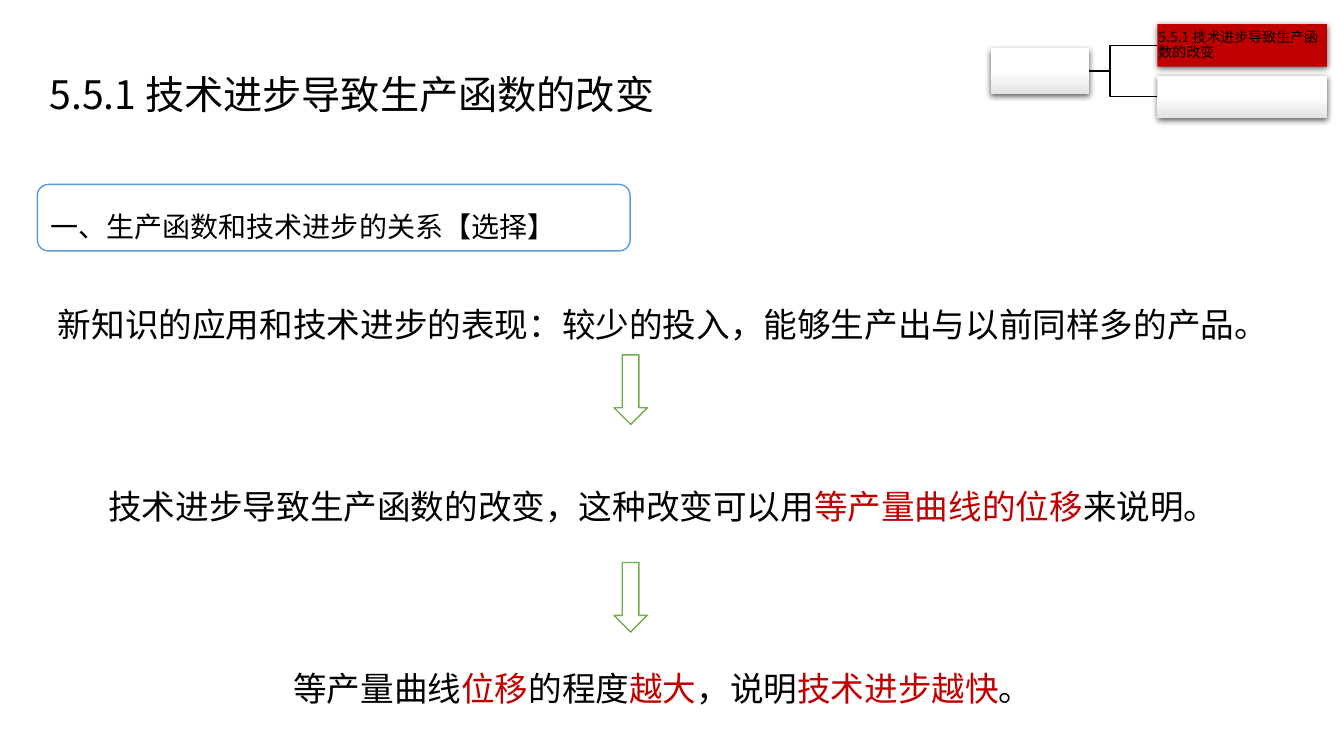
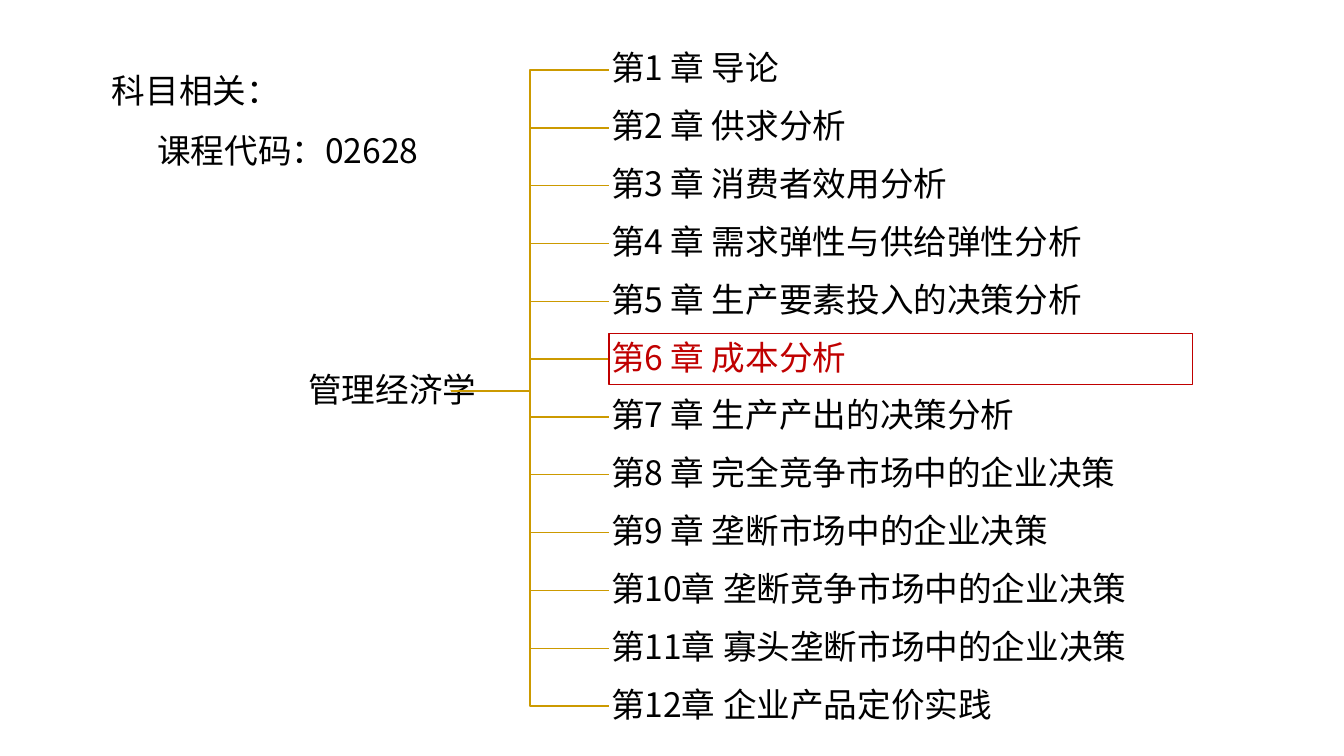
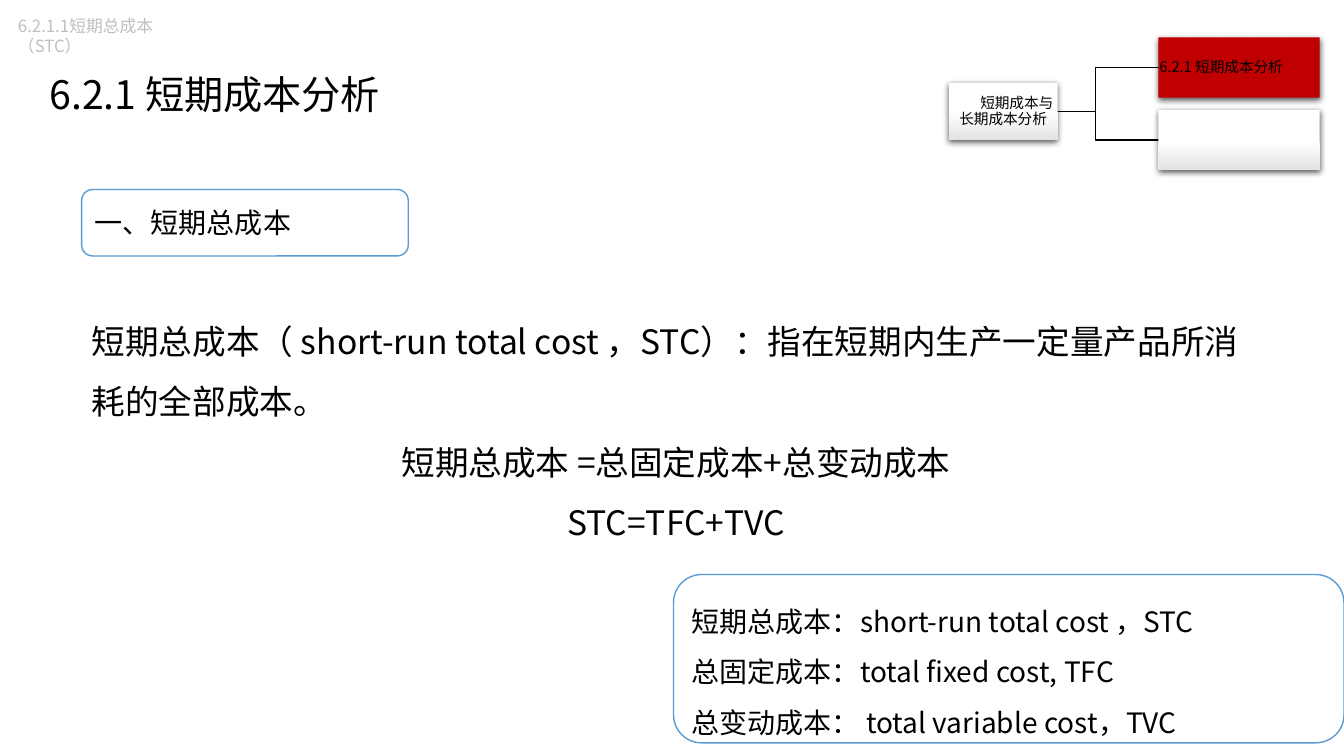
from lxml import etree
from pptx import Presentation
from pptx import util as u
from pptx.dml.color import RGBColor
from pptx.enum import shapes, text
from pptx.oxml.ns import qn

FONT = "Noto Sans CJK SC"
BLACK, WHITE, RED, GREY = "000000", "FFFFFF", "C00000", "BFBFBF"
BLUE, GREEN, GOLD, SHADE = "5B9BD5", "70AD47", "CC9A00", "E3E3E3"
CENTER, LEFT = text.PP_ALIGN.CENTER, text.PP_ALIGN.LEFT
TOP, MIDDLE = text.MSO_ANCHOR.TOP, text.MSO_ANCHOR.MIDDLE
TITLE_AND_CONTENT = 1


def rgb(value):
    return RGBColor.from_string(value)


def inches(*values):
    return [u.Inches(value) for value in values]


# ---- Text ----
def add_run(paragraph, words, size, color):
    run = paragraph.add_run()
    run.text = words
    formats = {"name": FONT, "size": u.Pt(size), "bold": False}
    for name, value in formats.items():
        setattr(run.font, name, value)
    run.font.color.rgb = rgb(color)
    latin = run.font._element.find(qn("a:latin"))
    east_asian = etree.Element(qn("a:ea"), typeface=FONT)
    latin.addnext(east_asian)


def write(shape, lines, size, color=BLACK, anchor=TOP, insets=(0.1, 0.05, 0.1, 0.05),
          indent=0, **shared):
    """Each line is a string or (string, formats); text between bars is red."""
    frame = shape.text_frame
    frame.word_wrap = True
    frame.auto_size = text.MSO_AUTO_SIZE.NONE
    frame.vertical_anchor = anchor
    for side, value in zip(("left", "top", "right", "bottom"), insets):
        setattr(frame, "margin_" + side, u.Inches(value))
    for index, line in enumerate(lines):
        words, own = line if isinstance(line, tuple) else (line, {})
        paragraph = frame.add_paragraph() if index else frame.paragraphs[0]
        formats = {"alignment": LEFT, "line_spacing": 1.0,
                   "space_before": u.Pt(0), "space_after": u.Pt(0), **shared, **own}
        properties = paragraph._p.get_or_add_pPr()
        properties.set("marL", str(u.Inches(formats.pop("margin", 0))))
        properties.set("indent", str(u.Inches(indent)))
        etree.SubElement(properties, qn("a:buNone"))
        for name, value in formats.items():
            setattr(paragraph, name, value)
        for position, part in enumerate(words.split("|")):
            add_run(paragraph, part, size, RED if position % 2 else color)


def place(shape, box):
    for name, value in zip(("left", "top", "width", "height"), inches(*box)):
        setattr(shape, name, value)
    return shape


# ---- Shapes ----
def add_box(slide, kind, box, fill=WHITE, line=None, line_width=1):
    shape = slide.shapes.add_shape(kind, *inches(*box))
    shape.fill.solid()
    shape.fill.fore_color.rgb = rgb(fill)
    if line:
        shape.line.color.rgb = rgb(line)
        shape.line.width = u.Pt(line_width)
    else:
        shape.line.fill.background()
    shape.shadow.inherit = False
    return shape


def add_elbow(slide, start, end, color):
    middle = (start[0] + end[0]) / 2
    points = [start, (middle, start[1]), (middle, end[1]), end]
    corners = [inches(*point) for point in points]
    builder = slide.shapes.build_freeform(*corners[0], scale=1.0)
    builder.add_line_segments(corners[1:], close=False)
    elbow = builder.convert_to_shape()
    elbow.fill.background()
    elbow.line.color.rgb = rgb(color)
    elbow.line.width = u.Pt(1)
    elbow.shadow.inherit = False


def add_raised_box(slide, box, fill=None):
    """A box with a soft shadow, shaded towards the bottom unless filled."""
    shape = add_box(slide, shapes.MSO_SHAPE.RECTANGLE, box, fill or WHITE)
    if not fill:
        shape.fill.gradient()
        shape.fill.gradient_angle = 270
        for stop, position, color in zip(shape.fill.gradient_stops, (0.5, 1), (WHITE, SHADE)):
            stop.position = position
            stop.color.rgb = rgb(color)
    effects = shape._element.spPr.find(qn("a:effectLst"))
    shadow = etree.SubElement(effects, qn("a:outerShdw"), blurRad=str(u.Pt(4.5)),
                              dist=str(u.Pt(1.5)), dir="5400000", rotWithShape="0")
    shadow_color = etree.SubElement(shadow, qn("a:srgbClr"), val=BLACK)
    etree.SubElement(shadow_color, qn("a:alpha"), val="63000")
    return shape


# ---- Regions ----
def add_slide(presentation):
    return presentation.slides.add_slide(presentation.slide_layouts[TITLE_AND_CONTENT])


def add_title(slide, words, width):
    title = place(slide.shapes.title, (0.37, 0.64, width, 0.59))
    write(title, [words], 28, insets=(0.12, 0.06, 0.12, 0.06))


def add_body(slide, box, lines, **formats):
    write(place(slide.placeholders[1], box), lines, 24, line_spacing=1.5, **formats)


def add_panel(slide, box, lines, **formats):
    panel = add_box(slide, shapes.MSO_SHAPE.ROUNDED_RECTANGLE, box, line=BLUE)
    write(panel, lines, 20, **formats)


def add_section_map(slide, root, stem, leaf, leaf_step, current, size, root_words=None):
    """A root box joined to two stacked boxes, the first of them current."""
    left, top, width, height = leaf
    leaves = [(left, top + row * leaf_step, width, height) for row in range(2)]
    start = (stem, root[1] + root[3] / 2)
    for box in leaves:
        add_elbow(slide, start, (left, box[1] + height / 2), BLACK)
    formats = {"anchor": MIDDLE, "insets": (0.01,) * 4, "line_spacing": 0.9}
    root_box = add_raised_box(slide, root)
    if root_words:
        write(root_box, [root_words], size, alignment=CENTER, indent=0.27, **formats)
    write(add_raised_box(slide, leaves[0], RED), [current], size, **formats)
    add_raised_box(slide, leaves[1])


def add_chapter_tree(slide, root, stem, column, pitch, chapters, current):
    """The course name as title, joined to a column of chapter boxes."""
    formats = {"anchor": MIDDLE, "insets": (0.02,) * 4, "line_spacing": 0.9}
    left, top, width, height = column
    boxes = [(left, top + row * pitch, width, height) for row in range(len(chapters))]
    for box in boxes:
        add_elbow(slide, (stem, root[1] + root[3] / 2), (left, box[1] + height / 2), GOLD)
    write(place(slide.shapes.title, root), ["管理经济学"], 24, alignment=CENTER, **formats)
    for number, (box, words) in enumerate(zip(boxes, chapters), 1):
        marked = number == current
        shape = add_box(slide, shapes.MSO_SHAPE.RECTANGLE, box,
                        line=RED if marked else None, line_width=0.75)
        label = f"第{number} 章 {words}" if number < 10 else f"第{number}章 {words}"
        write(shape, [label], 24, RED if marked else BLACK, **formats)


# ---- Slides ----
def build_progress_slide(presentation):
    slide = add_slide(presentation)
    heading = "5.5.1 技术进步导致生产函数的改变"
    add_title(slide, heading, 6.98)
    add_panel(slide, (0.37, 1.83, 5.88, 0.66), ["一、生产函数和技术进步的关系【选择】"],
              anchor=MIDDLE, line_spacing=1.5)
    gap = {"space_before": u.Pt(87)}
    add_body(slide, (0.37, 2.76, 12.41, 4.34), [
        "新知识的应用和技术进步的表现：较少的投入，能够生产出与以前同样多的产品。",
        ("技术进步导致生产函数的改变，这种改变可以用|等产量曲线的位移|来说明。", gap),
        ("等产量曲线|位移|的程度|越大|，说明|技术进步越快|。", gap),
    ], alignment=CENTER)
    add_section_map(slide, (9.83, 0.48, 0.97, 0.45), 10.54, (11.48, 0.24, 1.68, 0.42), 0.51,
                    heading, 10)
    for top in (3.52, 5.58):
        add_box(slide, shapes.MSO_SHAPE.DOWN_ARROW, (6.09, top, 0.33, 0.69), line=GREEN)


def build_course_slide(presentation):
    slide = add_slide(presentation)
    chapters = [
        "导论", "供求分析", "消费者效用分析", "需求弹性与供给弹性分析",
        "生产要素投入的决策分析", "成本分析", "生产产出的决策分析",
        "完全竞争市场中的企业决策", "垄断市场中的企业决策",
        "垄断竞争市场中的企业决策", "寡头垄断市场中的企业决策", "企业产品定价实践",
    ]
    pitch = (6.75 - 0.44) / (len(chapters) - 1)
    add_chapter_tree(slide, (2.73, 3.3, 2.32, 1.16), 4.47, (6.04, 0.44, 5.79, 0.51), pitch,
                     chapters, current=6)
    add_body(slide, (1.01, 0.44, 4.2, 1.31),
             ["科目相关：", ("课程代码：02628", {"margin": 0.45})])


def build_cost_slide(presentation):
    slide = add_slide(presentation)
    heading = "6.2.1 短期成本分析"
    add_title(slide, heading, 9.65)
    add_panel(slide, (0.81, 1.88, 3.24, 0.66), ["一、短期总成本"], anchor=MIDDLE)
    add_section_map(slide, (9.41, 0.82, 1.08, 0.57), 10.24, (11.49, 0.37, 1.6, 0.6), 0.72,
                    heading, 10.5, "短期成本与长期成本分析")
    centered = {"alignment": CENTER}
    add_body(slide, (0.81, 2.93, 11.79, 2.52), [
        "短期总成本（ short-run total cost ，STC）：指在短期内生产一定量产品所消耗的全部成本。",
        ("短期总成本 =总固定成本+总变动成本", centered),
        ("STC=TFC+TVC", centered),
    ])
    # Topic tag in the corner
    tag = slide.shapes.add_textbox(*inches(0.08, 0.11, 2.22, 0.3))
    write(tag, ["6.2.1.1短期总成本（STC）"], 12, GREY, insets=(0.1, 0.05, 0.57, 0.05))
    # Glossary
    add_panel(slide, (6.68, 5.7, 6.65, 1.67), [
        "短期总成本：short-run total cost ，STC",
        "总固定成本：total fixed cost, TFC",
        "总变动成本： total variable cost，TVC",
    ], line_spacing=1.5)


def main():
    presentation = Presentation()
    presentation.slide_width, presentation.slide_height = inches(13.33, 7.5)
    build_progress_slide(presentation)
    build_course_slide(presentation)
    build_cost_slide(presentation)
    presentation.save("out.pptx")


if __name__ == "__main__":
    main()
